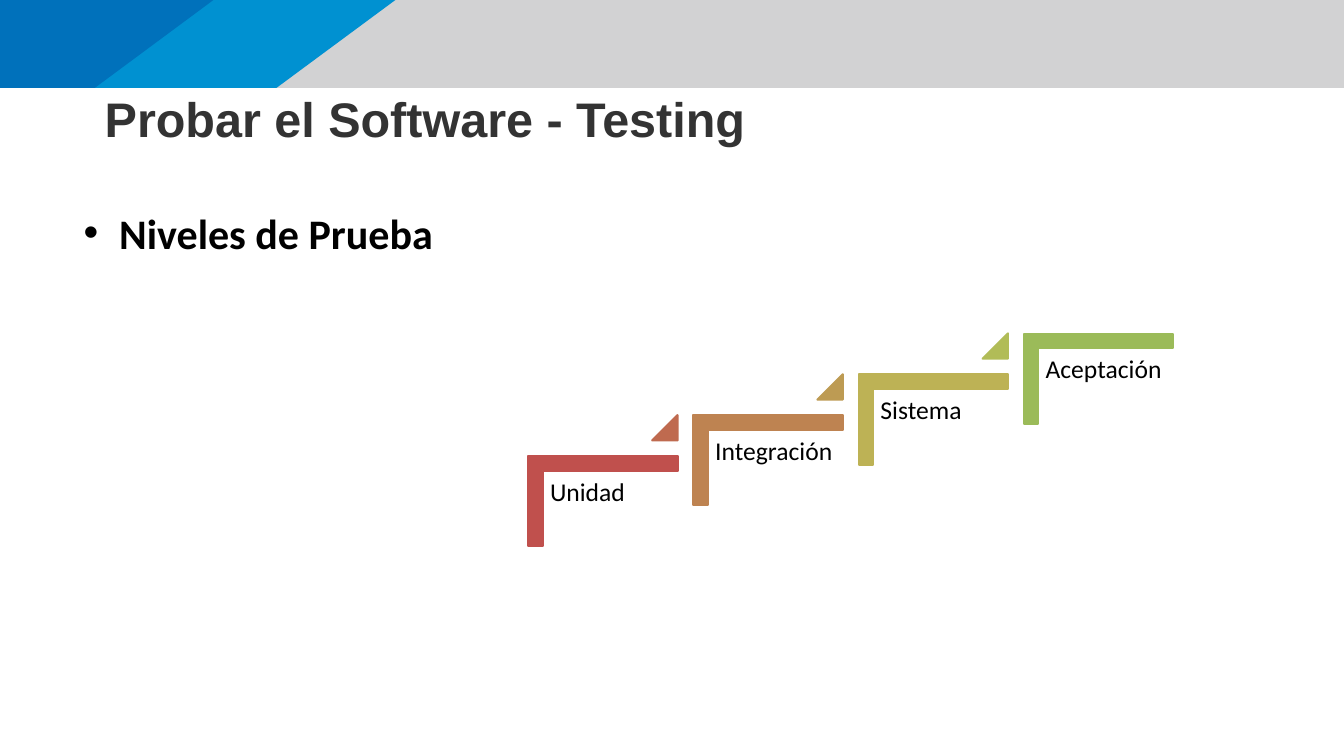
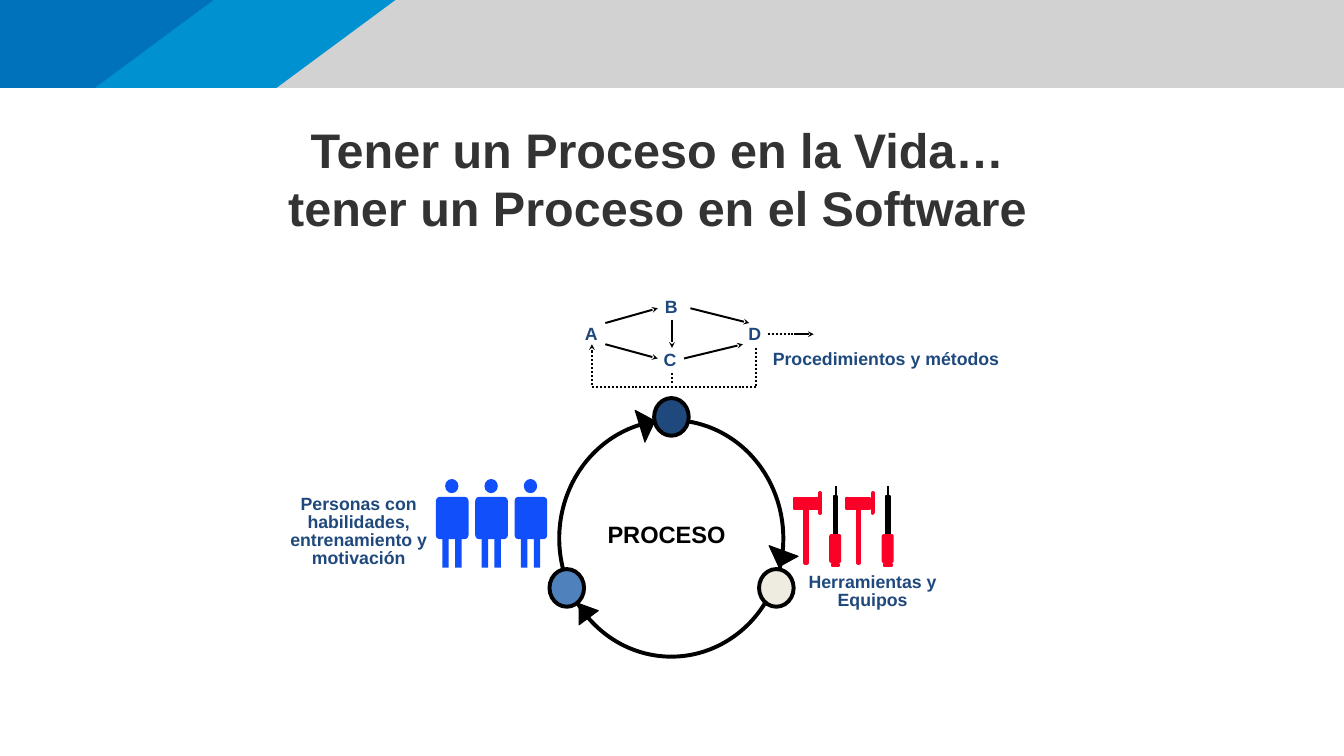
from lxml import etree
from pptx import Presentation
from pptx.dml.color import RGBColor
from pptx.enum import dml, shapes, text
from pptx.oxml.ns import qn
from pptx.util import Cm, Pt

FORM = shapes.MSO_SHAPE
BLACK, NAVY, BLUE, RED = "000000", "1F497D", "114FFB", "FC0128"
BANDS = [
    ("D2D2D3", [(0, 0), (48.16, 0), (48.16, 3.15), (0, 3.15)]),
    ("0091D1", [(0, 0), (14.17, 0), (9.91, 3.15), (0, 3.15)]),
    ("0071BB", [(0, 0), (7.65, 0), (3.4, 3.15), (0, 3.15)]),
]

# Level, step colour, colour of the triangle that leads to the next step
STEPS = [
    ("Unidad", "C0504D", "BF6A4F"),
    ("Integración", "BE8351", "BD9B53"),
    ("Sistema", "BDB255", "B1BC57"),
    ("Aceptación", "9BBB59", None),
]

# Boxes are left, top, width, height in cm
NODES = [(23.44, 14.27, NAVY), (19.69, 20.4, "4F81BD"), (27.2, 20.4, "EEECE1")]
TIPS = [
    [(22.76, 14.71), (23.47, 15.09), (23.11, 15.85)],
    [(27.91, 20.32), (28.6, 19.94), (27.56, 19.56)],
    [(20.75, 21.64), (21.44, 21.89), (20.75, 22.4)],
]
LABELS = [
    (["Procedimientos y métodos"], (27, 12.5, 9.5, 0.97)),
    (["Herramientas y", "Equipos"], (28.5, 20.5, 5.54, 1.75)),
    (["Personas con", "habilidades,", "entrenamiento y", "motivación"],
     (9.91, 17.7, 5.89, 3.33)),
]
LETTERS = [("A", 20.78, 11.61), ("B", 23.65, 10.64),
           ("C", 23.6, 12.55), ("D", 26.64, 11.61)]
ARROWS = [
    (24.74, 11.05, 26.85, 11.58), (21.69, 11.58, 23.57, 11.05),
    (21.69, 12.34, 23.57, 12.85), (24.51, 12.85, 26.62, 12.34),
    (24.08, 11.46, 24.08, 12.47), (21.21, 12.6, 21.21, 12.34),
    (28.45, 11.98, 29.16, 11.98),
]
DOTS = [
    (21.21, 12.6, 21.21, 13.82), (21.21, 13.87, 27.08, 13.87),
    (24.08, 13.36, 24.08, 13.77), (27.08, 12.47, 27.08, 13.87),
    (27.51, 11.98, 29.01, 11.98),
]

# Parts: form, box with left relative to the figure, fill, line width
PERSON = [
    (FORM.ROUNDED_RECTANGLE, (0, 17.81, 1.17, 1.52), BLUE, 0),
    (FORM.OVAL, (0.33, 17.17, 0.48, 0.51), BLUE, 0),
    (FORM.RECTANGLE, (0.23, 19.33, 0.23, 1.02), BLUE, 0),
    (FORM.RECTANGLE, (0.69, 19.33, 0.23, 1.02), BLUE, 0),
]
TOOLS = [
    (FORM.RECTANGLE, (0.41, 18.16, 0.05, 2.01), RED, 4),
    (FORM.RECTANGLE, (0, 17.86, 0.86, 0.38), RED, 2),
    (FORM.RECTANGLE, (0.94, 17.68, 0.01, 0.71), RED, 4),
    (FORM.RECTANGLE, (1.42, 17.78, 0.13, 1.91), BLACK, 2),
    (FORM.ROUNDED_RECTANGLE, (1.3, 19.18, 0.36, 0.97), RED, 2),
    (FORM.RECTANGLE, (1.35, 20.22, 0.28, 0.08), RED, 2),
]


def rgb(code):
    return RGBColor.from_string(code)


def place(item, box):
    item.left, item.top, item.width, item.height = map(Cm, box)


def paint(item, fill, edge=None, width=0):
    """Set fill and outline; None or 0 leaves that part out."""
    item.shadow.inherit = False
    if fill:
        item.fill.solid()
        item.fill.fore_color.rgb = rgb(fill)
    else:
        item.fill.background()
    if width:
        item.line.color.rgb = rgb(edge)
        item.line.width = Pt(width)
    else:
        item.line.fill.background()
    return item


def add(slide, form, box, fill, edge=None, width=0, adj=()):
    item = slide.shapes.add_shape(form, *map(Cm, box))
    for i, part in enumerate(adj):
        item.adjustments[i] = part
    return paint(item, fill, edge, width)


def outline(slide, points, fill, width=0):
    points = [(Cm(x), Cm(y)) for x, y in points]
    pen = slide.shapes.build_freeform(*points[0])
    pen.add_line_segments(points[1:], close=True)
    return paint(pen.convert_to_shape(), fill, fill, width)


def line(slide, ends, dots=False, arrow=False):
    item = slide.shapes.add_connector(
        shapes.MSO_CONNECTOR.STRAIGHT, *map(Cm, ends))
    item.line.color.rgb = rgb(BLACK)
    item.line.width = Pt(2)
    if dots:
        item.line.dash_style = dml.MSO_LINE.ROUND_DOT
    props = item._element.spPr
    if arrow:
        etree.SubElement(props.find(qn("a:ln")), qn("a:tailEnd"), type="stealth")
    etree.SubElement(props, qn("a:effectLst"))


def style(par, name, size, color, bold=True):
    font = par.font
    font.name, font.size, font.bold = name, Pt(size), bold
    font.color.rgb = rgb(color)


def frame(item, pad=(0, 0)):
    """Ready a text frame: wrapped, top anchored, with even insets."""
    tf = item.text_frame
    tf.word_wrap = True
    tf.auto_size = text.MSO_AUTO_SIZE.NONE
    tf.vertical_anchor = text.MSO_ANCHOR.TOP
    tf.margin_left = tf.margin_right = Cm(pad[0])
    tf.margin_top = tf.margin_bottom = Cm(pad[1])
    return tf


def write(slide, rows, box, size, color, name="Arial", bold=True,
          space=0.85, center=False, pad=(0.18, 0.08)):
    tf = frame(slide.shapes.add_textbox(*map(Cm, box)), pad)
    tf.text = "\n".join(rows)
    for par in tf.paragraphs:
        par.line_spacing = space
        par.alignment = text.PP_ALIGN.CENTER if center else text.PP_ALIGN.LEFT
        style(par, name, size, color, bold)


def head(slide, words, box):
    place(slide.shapes.title, box)
    tf = frame(slide.shapes.title)
    tf.text = words
    par = tf.paragraphs[0]
    par.alignment = text.PP_ALIGN.CENTER
    style(par, "Arial", 49.3, "333333")


def bands(prs, slide):
    """Draw the top bands and move them behind everything on the master."""
    tree = prs.slide_master.shapes._spTree
    for i, (fill, points) in enumerate(BANDS):
        item = outline(slide, points, fill)._element
        item.nvSpPr.cNvPr.set("id", str(20 + i))
        tree.insert(2 + i, item)


def levels(slide):
    head(slide, "Probar el Software - Testing", (0, 3.18, 30.48, 2.11))
    body = slide.placeholders[1]
    place(body, (3, 7.42, 13.89, 6.2))
    tf = frame(body)
    tf.text = "Niveles de Prueba"
    par = tf.paragraphs[0]
    props = par._p.get_or_add_pPr()
    props.set("marL", str(Cm(1.27)))
    props.set("indent", str(-Cm(1.27)))
    par.space_before = Pt(0)
    style(par, "Calibri", 42.7, BLACK)

    for i, (name, fill, mark) in enumerate(STEPS):
        x, y = 19.99 + 5.92 * i, 15.29 - 1.465 * i
        step = add(slide, FORM.CORNER, (x, y, 3.23, 5.36), fill, fill, 2,
                   (0.161, 0.161))
        step.rotation = 90
        write(slide, [name], (x - 0.56, y + 1.6, 4.85, 4.24), 26, BLACK,
              "Calibri", False, 0.9, pad=(0.28, 0.28))
        if mark:
            add(slide, FORM.ISOSCELES_TRIANGLE, (x + 3.38, y - 0.41, 0.91, 0.91),
                mark, mark, 2, (1,))


def process(slide):
    head(slide, "Tener un Proceso en la Vida…\vtener un Proceso en el Software",
         (0.18, 4.29, 46.79, 6.32))
    add(slide, FORM.OVAL, (20.04, 15.06, 8.03, 8.48), None, BLACK, 4)
    for x, y, fill in NODES:
        add(slide, FORM.OVAL, (x, y, 1.24, 1.35), fill, BLACK, 4)
    for points in TIPS:
        outline(slide, points, BLACK, 1)

    for parts, left, pitch, count in ((PERSON, 15.62, 1.41, 3),
                                      (TOOLS, 28.45, 1.88, 2)):
        for i in range(count):
            start = left + pitch * i
            for form, (x, y, w, h), fill, width in parts:
                adj = (0.125,) if form == FORM.ROUNDED_RECTANGLE else ()
                add(slide, form, (start + x, y, w, h), fill, fill, width, adj)
            if parts is TOOLS:
                line(slide, (start + 1.5, 18.44, start + 1.5, 17.42))

    for rows, box in LABELS:
        write(slide, rows, box, 18, NAVY, center=True)
    for name, x, y in LETTERS:
        write(slide, [name], (x, y, 0.91, 0.97), 18, NAVY)
    write(slide, ["PROCESO"], (21.59, 18.69, 5.13, 1.24), 24, BLACK, space=0.87)
    for ends in ARROWS:
        line(slide, ends, arrow=True)
    for ends in DOTS:
        line(slide, ends, dots=True)


def main():
    prs = Presentation()
    prs.slide_width, prs.slide_height = Cm(48.16), Cm(27.1)
    first = prs.slides.add_slide(prs.slide_layouts[1])
    bands(prs, first)
    levels(first)
    process(prs.slides.add_slide(prs.slide_layouts[5]))
    prs.save("out.pptx")


if __name__ == "__main__":
    main()
